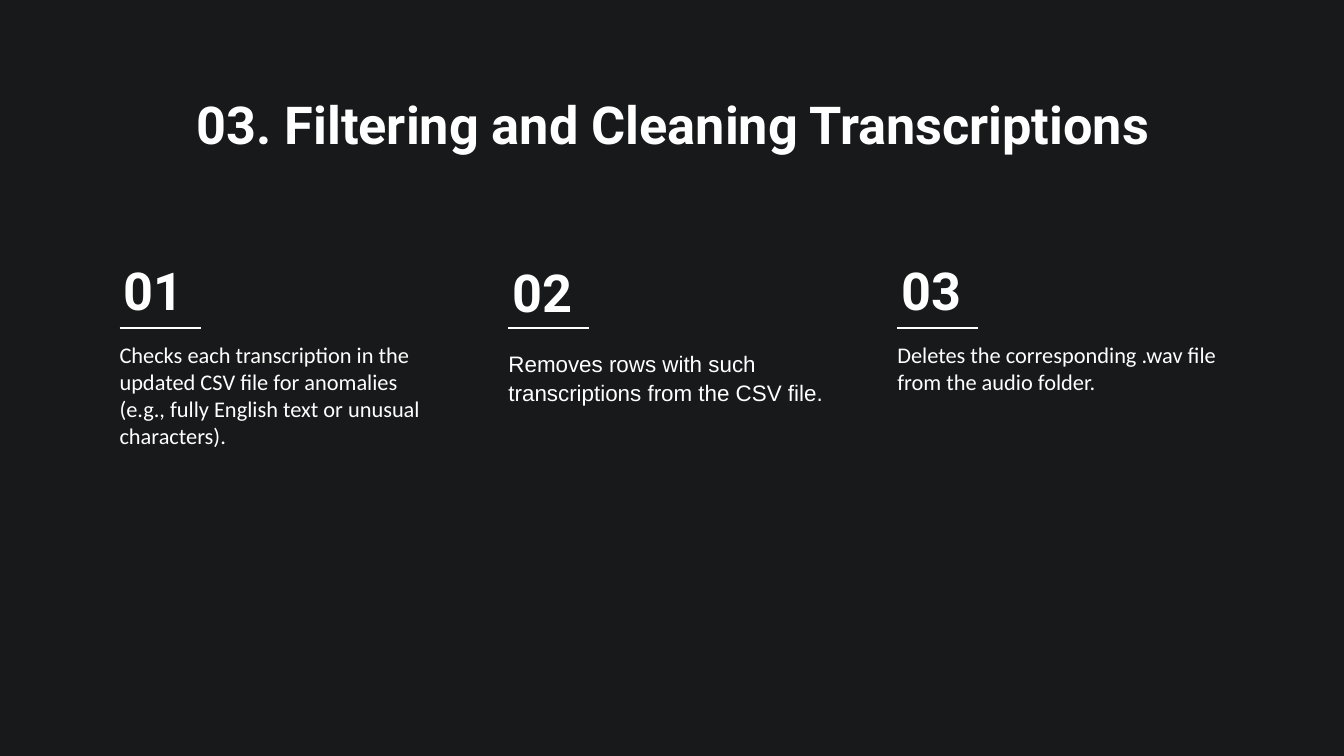
from lxml import etree
from pptx import Presentation
from pptx import util as u
from pptx.dml.color import RGBColor
from pptx.enum import shapes, text

WHITE = "FFFFFF"
BACKGROUND = "18191A"
LEFT = 2.01
COLUMN_PITCH = 7.35
RULE_TOP = 6.2
BODY = {"size": u.Pt(12), "name": "Calibri"}
HEADING = {"size": u.Pt(28), "name": "Roboto", "bold": True}
PADDED = {"margin_top": u.Cm(0.25), "margin_bottom": u.Cm(0.25)}
CENTERED = {"alignment": text.PP_ALIGN.CENTER}

# number, number top, text, text top, text height, font, frame, paragraph
STEPS = [
    ("01", 4.75,
     "Checks each transcription in the updated CSV file for anomalies "
     "(e.g., fully English text or unusual characters).",
     RULE_TOP, 4.17, BODY, PADDED, {}),
    ("02", 4.8, "Removes rows with such transcriptions from the CSV file.",
     6.5, 1.27, BODY | {"name": "Arial"},
     {"vertical_anchor": text.MSO_ANCHOR.MIDDLE}, {"line_spacing": 1.05}),
    ("03", 4.75, "Deletes the corresponding .wav file from the audio folder.",
     RULE_TOP, 4.17, BODY, PADDED, {}),
]


def color(value):
    return RGBColor.from_string(value)


def apply(target, values):
    for name, value in values.items():
        setattr(target, name, value)


def add_text(slide, words, box, font, frame_format={}, paragraph_format={}):
    """Add a white text box; box is left, top, width, height in cm."""
    frame = slide.shapes.add_textbox(*map(u.Cm, box)).text_frame
    apply(frame, {"word_wrap": True} | frame_format)
    paragraph = frame.paragraphs[0]
    apply(paragraph, paragraph_format)
    run = paragraph.add_run()
    run.text = words
    apply(run.font, font)
    run.font.color.rgb = color(WHITE)


def add_rule(slide, left, top, width):
    line = slide.shapes.add_connector(
        shapes.MSO_CONNECTOR.STRAIGHT,
        u.Cm(left), u.Cm(top), u.Cm(left + width), u.Cm(top))
    line.line.color.rgb = color(WHITE)
    line.line.width = u.Pt(0.75)
    properties = line.element.spPr
    namespace = properties.nsmap["a"]
    etree.SubElement(properties, f"{{{namespace}}}effectLst")


def add_step(slide, left, step):
    number, number_top, words, top, height, font, frame, paragraph = step
    add_text(slide, words, (left, top, 6.71, height), font, frame, paragraph)
    add_rule(slide, left + 0.25, RULE_TOP, 1.53)
    add_text(slide, number, (left + 0.08, number_top, 1.88, 1.45), HEADING)


def main():
    presentation = Presentation()
    presentation.slide_width = u.Cm(25.4)
    presentation.slide_height = u.Cm(14.29)
    slide = presentation.slides.add_slide(presentation.slide_layouts[6])
    fill = slide.background.fill
    fill.solid()
    fill.fore_color.rgb = color(BACKGROUND)

    add_text(slide, "03. Filtering and Cleaning Transcriptions",
             (LEFT, 1.5, 21.41, 1.6), HEADING, PADDED, CENTERED)
    for column, step in enumerate(STEPS):
        add_step(slide, LEFT + column * COLUMN_PITCH, step)
    presentation.save("out.pptx")


if __name__ == "__main__":
    main()
